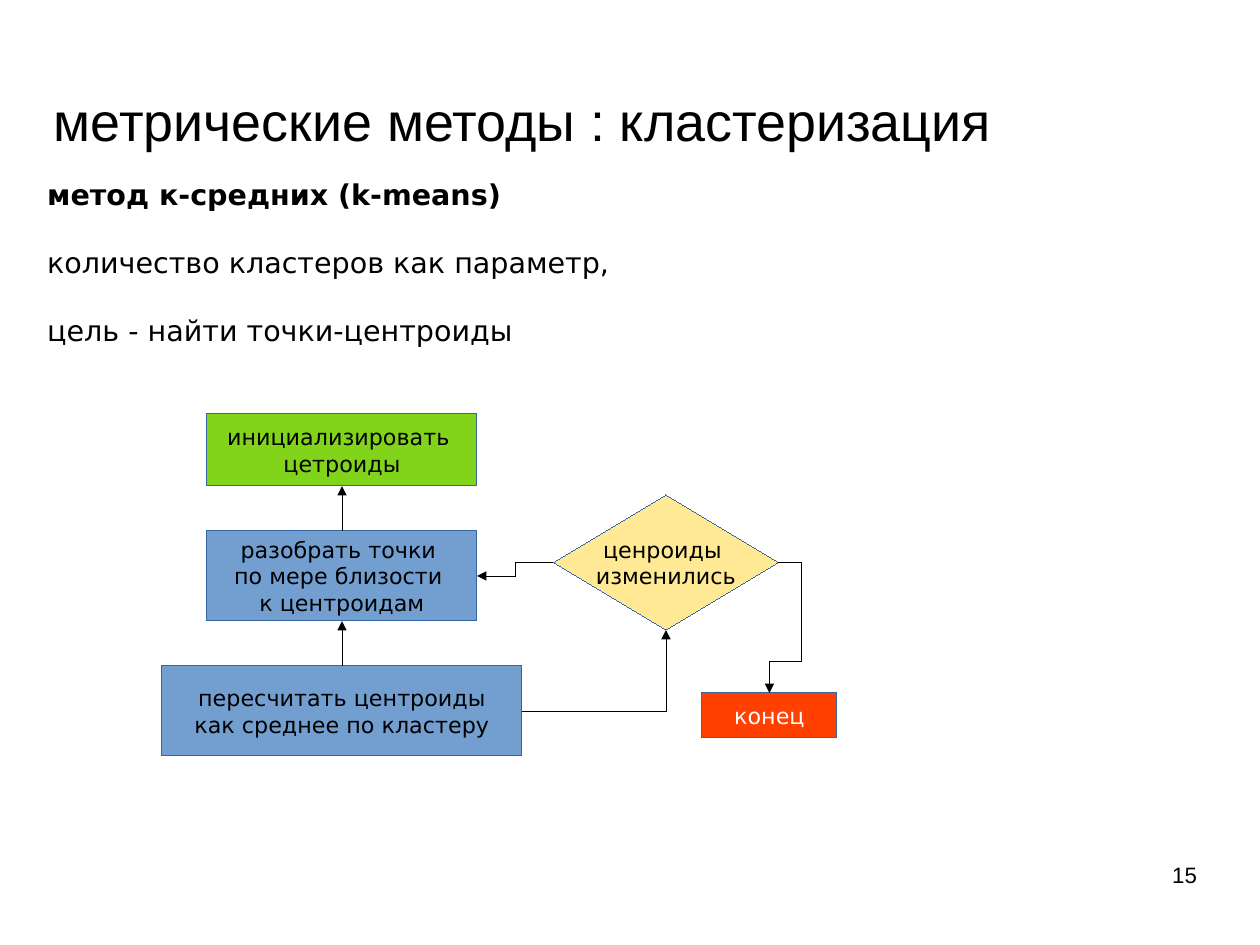
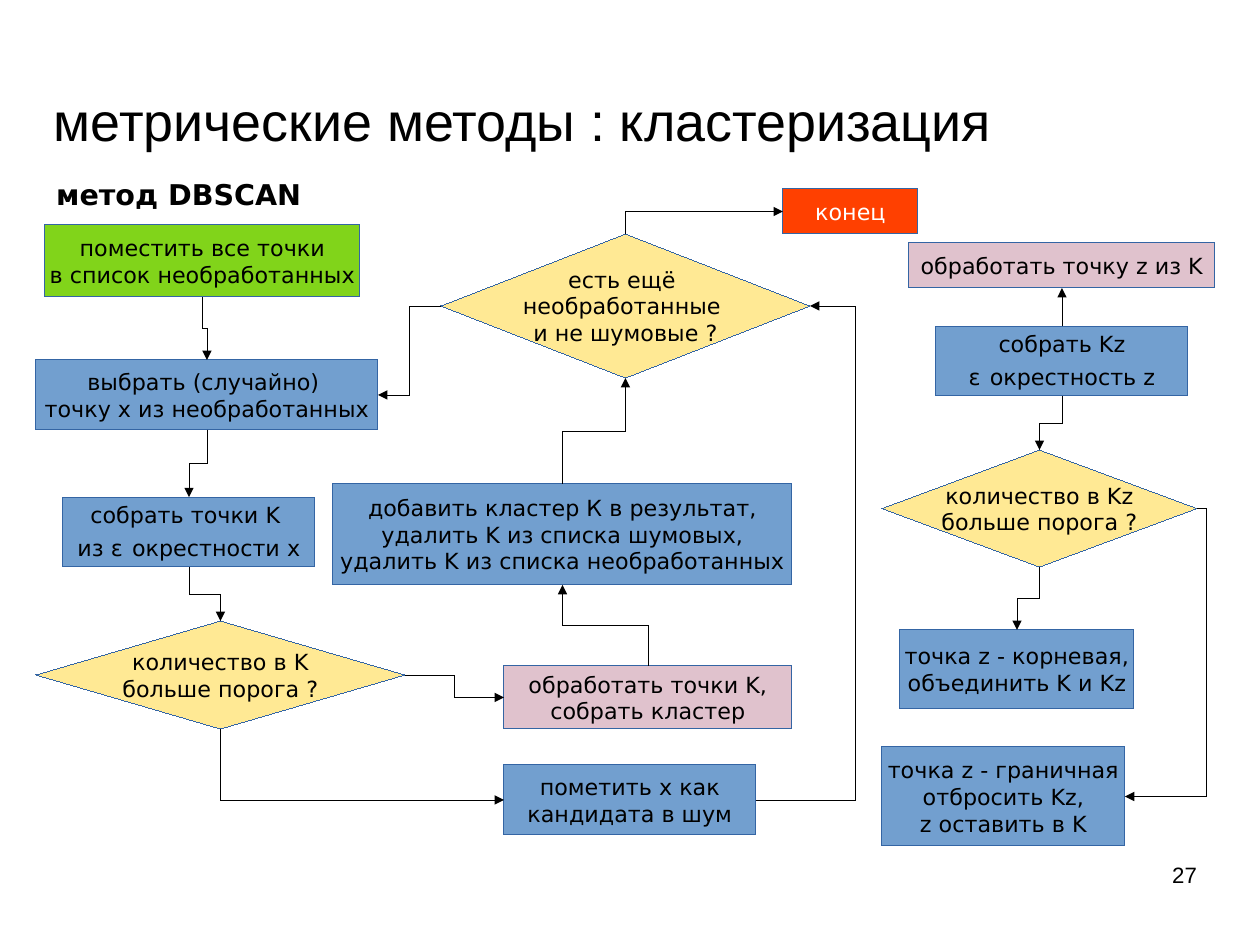
from dataclasses import dataclass

from lxml import etree
from pptx import Presentation
from pptx.dml.color import RGBColor
from pptx.enum.shapes import MSO_CONNECTOR, MSO_SHAPE
from pptx.enum.text import MSO_ANCHOR, PP_ALIGN
from pptx.oxml.ns import qn
from pptx.util import Emu, Pt

PX = 18000
RECT, DIAMOND = MSO_SHAPE.RECTANGLE, MSO_SHAPE.DIAMOND
ELBOW = MSO_CONNECTOR.ELBOW
MIDDLE, UPPER = MSO_ANCHOR.MIDDLE, MSO_ANCHOR.TOP
ALIGN_L, ALIGN_C, ALIGN_R = PP_ALIGN.LEFT, PP_ALIGN.CENTER, PP_ALIGN.RIGHT
TOP, LEFT, BOTTOM, RIGHT = range(4)
ROTATION = {TOP: 270, LEFT: 180, BOTTOM: 90, RIGHT: 0}

BLACK = RGBColor(0x00, 0x00, 0x00)
WHITE = RGBColor(0xFF, 0xFF, 0xFF)
GREEN = RGBColor(0x81, 0xD4, 0x1A)
BLUE = RGBColor(0x72, 0x9F, 0xCF)
YELLOW = RGBColor(0xFF, 0xE9, 0x94)
PINK = RGBColor(0xE0, 0xC2, 0xCD)
RED = RGBColor(0xFF, 0x40, 0x00)
OUTLINE = RGBColor(0x34, 0x65, 0xA4)

TITLE_FONT, BODY_FONT = "Arial", "DejaVu Sans"
TITLE = "метрические методы : кластеризация"


@dataclass(frozen=True)
class Box:
    x: int
    y: int
    w: int
    h: int
    fill: RGBColor
    lines: tuple[str, ...]

    def site(self, side: int) -> tuple[float, float]:
        cx, cy = self.x + self.w / 2, self.y + self.h / 2
        return {
            TOP: (cx, self.y),
            LEFT: (self.x, cy),
            BOTTOM: (cx, self.y + self.h),
            RIGHT: (self.x + self.w, cy),
        }[side]


@dataclass(frozen=True)
class Link:
    start: str
    out: int
    end: str
    into: int
    bends: tuple[int, ...] = ()


@dataclass(frozen=True)
class Page:
    number: str
    text_at: tuple[int, int, int, int]
    text: tuple[str, ...]
    boxes: dict[str, Box]
    links: tuple[Link, ...]


PAGES = (
    Page(
        "15",
        (16, 76, 264, 82),
        (
            "метод к-средних (k-means)",
            "количество кластеров как параметр,",
            "цель - найти точки-центроиды",
        ),
        {
            "init": Box(92, 184, 120, 32, GREEN, ("инициализировать ", "цетроиды")),
            "assign": Box(92, 236, 120, 40, BLUE,
                          ("разобрать точки ", "по мере близости ", "к центроидам")),
            "update": Box(72, 296, 160, 40, BLUE,
                          ("пересчитать центроиды", "как среднее по кластеру")),
            "changed": Box(246, 220, 100, 60, YELLOW, ("ценроиды ", "изменились")),
            "finish": Box(312, 308, 60, 20, RED, ("конец",)),
        },
        (
            Link("update", TOP, "assign", BOTTOM),
            Link("assign", TOP, "init", BOTTOM),
            Link("changed", LEFT, "assign", RIGHT),
            Link("update", RIGHT, "changed", BOTTOM),
            Link("changed", RIGHT, "finish", TOP, (356, 294)),
        ),
    ),
    Page(
        "27",
        (20, 76, 164, 28),
        ("метод DBSCAN",),
        {
            "pick": Box(16, 160, 152, 31, BLUE,
                        ("выбрать (случайно) ", "точку х из необработанных")),
            "finish": Box(348, 84, 60, 20, RED, ("конец",)),
            "init": Box(20, 100, 140, 32, GREEN,
                        ("поместить все точки", "в список необработанных")),
            "process": Box(224, 296, 128, 28, PINK,
                           ("обработать точки K,", "собрать кластер")),
            "enough": Box(16, 276, 164, 48, YELLOW, ("количество в K", "больше порога ?")),
            "noise": Box(224, 340, 112, 31, BLUE, ("пометить х как", "кандидата в шум")),
            "gather": Box(28, 221, 112, 31, BLUE,
                          ("собрать точки K ", "из ε| |окрестности х")),
            "store": Box(148, 215, 204, 45, BLUE,
                         ("добавить кластер К в результат,", "удалить K из списка шумовых,",
                          "удалить K из списка необработанных")),
            "left_over": Box(196, 104, 164, 64, YELLOW,
                             ("есть ещё ", "необработанные ", "и не шумовые ?")),
            "process_z": Box(404, 108, 136, 20, PINK, ("обработать точку z из K",)),
            "gather_z": Box(416, 145, 112, 31, BLUE, ("собрать Kz", "ε| |окрестность z")),
            "enough_z": Box(392, 200, 140, 52, YELLOW, ("количество в Kz", "больше порога ?")),
            "core_z": Box(400, 280, 104, 35, BLUE, ("точка z - корневая,", "объединить K и Kz")),
            "border_z": Box(392, 332, 108, 44, BLUE,
                            ("точка z - граничная", "отбросить Kz,", "z оставить в K")),
        },
        (
            Link("init", BOTTOM, "pick", TOP),
            Link("pick", BOTTOM, "gather", TOP),
            Link("gather", BOTTOM, "enough", TOP),
            Link("enough", BOTTOM, "noise", LEFT),
            Link("enough", RIGHT, "process", LEFT),
            Link("process", TOP, "store", BOTTOM),
            Link("store", TOP, "left_over", BOTTOM),
            Link("left_over", LEFT, "pick", RIGHT),
            Link("noise", RIGHT, "left_over", RIGHT, (380,)),
            Link("left_over", TOP, "finish", LEFT),
            Link("gather_z", TOP, "process_z", BOTTOM),
            Link("gather_z", BOTTOM, "enough_z", TOP),
            Link("enough_z", BOTTOM, "core_z", TOP),
            Link("enough_z", RIGHT, "border_z", RIGHT, (536,)),
        ),
    ),
)


def emu(*lengths: float) -> list[Emu]:
    return [Emu(round(n * PX)) for n in lengths]


def add_run(p, text: str, size: float, font: str, color: RGBColor, bold: bool = False) -> None:
    r = p.add_run()
    r.text = text
    r.font.size = Pt(size)
    r.font.name = font
    r.font.bold = bold
    r.font.color.rgb = color


def add_text(s, at: tuple[int, int, int, int], lines: tuple[str, ...], size: float,
             font: str, align=ALIGN_L, anchor=UPPER, flush: bool = True,
             bold_first: bool = False) -> None:
    tf = s.shapes.add_textbox(*emu(*at)).text_frame
    tf.word_wrap = True
    tf.vertical_anchor = anchor
    if flush:
        tf.margin_left = tf.margin_right = tf.margin_top = tf.margin_bottom = Emu(0)
    for i, line in enumerate(lines):
        p = tf.add_paragraph() if i else tf.paragraphs[0]
        p.alignment = align
        p.space_before = Pt(21.3 if i else 0)
        add_run(p, line, size, font, BLACK, bold_first and i == 0)


def set_hairline(shape, color: RGBColor):
    shape.line.color.rgb = color
    ln = shape.element.spPr.find(qn("a:ln"))
    ln.set("w", "0")
    return ln


def add_box(s, box: Box):
    sp = s.shapes.add_shape(DIAMOND if box.fill == YELLOW else RECT,
                            *emu(box.x, box.y, box.w, box.h))
    sp.shadow.inherit = False
    sp.fill.solid()
    sp.fill.fore_color.rgb = box.fill
    set_hairline(sp, OUTLINE)
    tf = sp.text_frame
    tf.word_wrap = False
    tf.vertical_anchor = MIDDLE
    color = WHITE if box.fill == RED else BLACK
    for i, line in enumerate(box.lines):
        p = tf.add_paragraph() if i else tf.paragraphs[0]
        p.alignment = ALIGN_C
        for part in line.split("|"):
            add_run(p, part, 18 if part == " " else 14, BODY_FONT, color)
    return sp


def add_link(s, link: Link, boxes: dict[str, Box], drawn: dict) -> None:
    a, b = boxes[link.start].site(link.out), boxes[link.end].site(link.into)
    delta = (b[0] - a[0], b[1] - a[1])
    axis = 0 if link.out in (LEFT, RIGHT) else 1
    same_axis = link.out % 2 == link.into % 2

    c = s.shapes.add_connector(ELBOW, *emu(*a, *b))
    c.begin_connect(drawn[link.start], link.out)
    c.end_connect(drawn[link.end], link.into)
    sp_pr = c.element.spPr
    etree.SubElement(set_hairline(c, BLACK), qn("a:tailEnd"), type="triangle")
    etree.SubElement(sp_pr, qn("a:effectLst"))

    geom = sp_pr.find(qn("a:prstGeom"))
    if same_axis and delta[1 - axis] == 0:
        geom.set("prst", "straightConnector1")
        return
    geom.set("prst", f"bentConnector{3 if same_axis else 2 + len(link.bends)}")
    guides = geom.get_or_add_avLst()
    for i, bend in enumerate(link.bends):
        k = (axis + i) % 2
        ratio = round((bend - a[k]) / delta[k] * 100000)
        etree.SubElement(guides, qn("a:gd"), name=f"adj{i + 1}", fmla=f"val {ratio}")

    w, h = abs(delta[axis]), abs(delta[1 - axis])
    cx, cy = (a[0] + b[0]) / 2, (a[1] + b[1]) / 2
    c.left, c.top, c.width, c.height = emu(cx - w / 2, cy - h / 2, w, h)
    along, across = {
        RIGHT: delta,
        LEFT: (-delta[0], -delta[1]),
        BOTTOM: (delta[1], -delta[0]),
        TOP: (-delta[1], delta[0]),
    }[link.out]
    xfrm = sp_pr.find(qn("a:xfrm"))
    xfrm.set("rot", str(ROTATION[link.out] * 60000))
    xfrm.set("flipH", str(int(along < 0)))
    xfrm.set("flipV", str(int(across < 0)))


def add_page(prs, page: Page) -> None:
    s = prs.slides.add_slide(prs.slide_layouts[6])
    add_text(s, (24, 40, 444, 27), (TITLE,), 33.9, TITLE_FONT, anchor=MIDDLE)
    add_text(s, page.text_at, page.text, 18, BODY_FONT, flush=False, bold_first=True)
    drawn = {name: add_box(s, box) for name, box in page.boxes.items()}
    for link in page.links:
        add_link(s, link, page.boxes, drawn)
    add_text(s, (401, 383, 131, 29), (page.number,), 14, TITLE_FONT, align=ALIGN_R)


def main() -> None:
    prs = Presentation()
    prs.slide_width, prs.slide_height = emu(560, 420)
    for page in PAGES:
        add_page(prs, page)
    prs.save("out.pptx")


if __name__ == "__main__":
    main()
